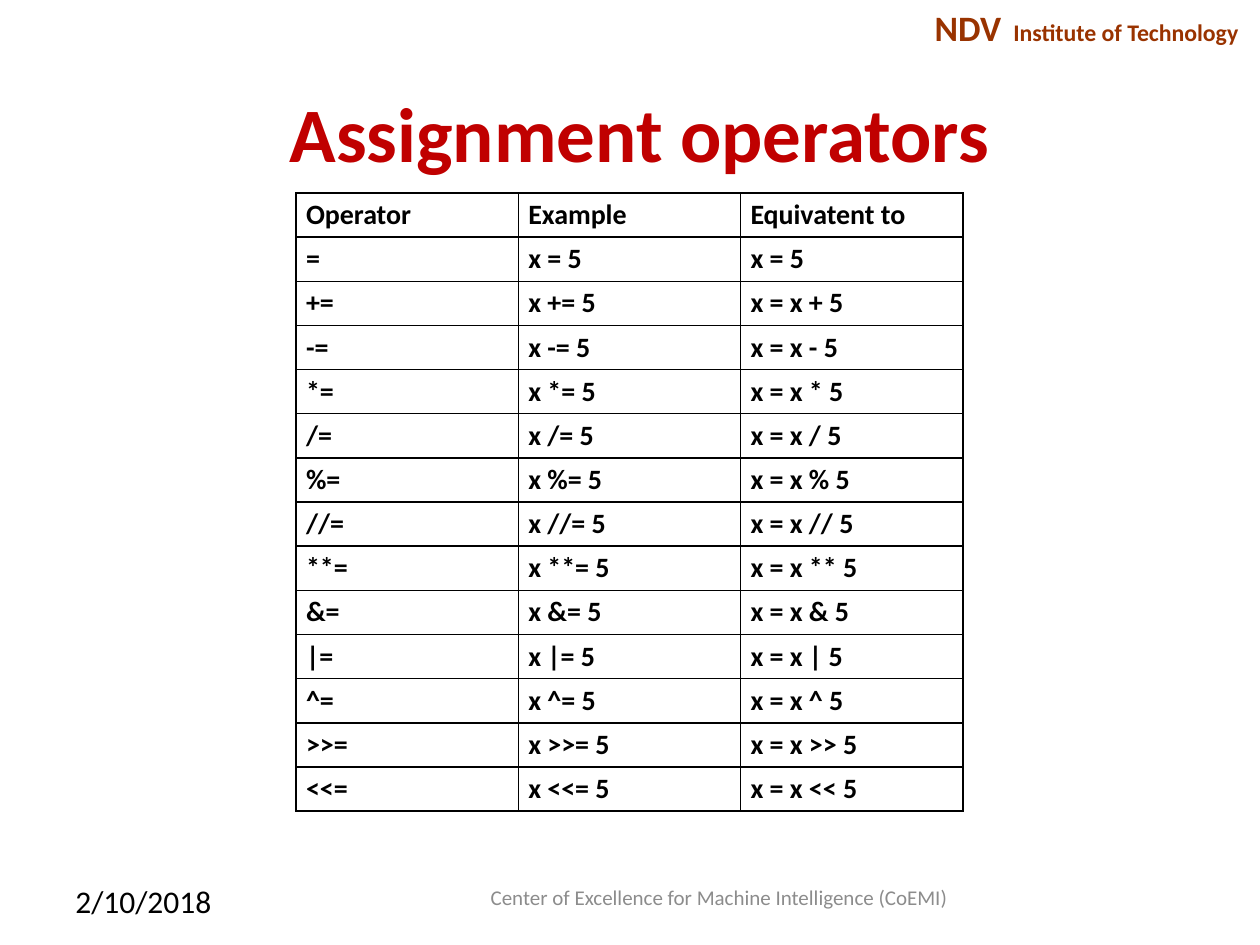
from lxml import etree
from pptx import Presentation
from pptx import util as u
from pptx.dml.color import RGBColor
from pptx.enum import text
from pptx.oxml import ns

BLACK = RGBColor(0x00, 0x00, 0x00)
RED = RGBColor(0xC0, 0x00, 0x00)
BROWN = RGBColor(0x99, 0x33, 0x00)
GREY = RGBColor(0x8C, 0x8C, 0x8C)
LEFT, CENTER = text.PP_ALIGN.LEFT, text.PP_ALIGN.CENTER
TOP, MIDDLE = text.MSO_ANCHOR.TOP, text.MSO_ANCHOR.MIDDLE


def add_span(para, words, size, color, bold):
    span = para.add_run()
    span.text = words
    span.font.color.rgb = color
    for name, value in {"name": "Calibri", "size": u.Pt(size), "bold": bold}.items():
        setattr(span.font, name, value)


def add_box(slide, place, spans, color, bold, align, frame_format):
    box = slide.shapes.add_textbox(*[u.Cm(value) for value in place])
    for name, value in frame_format.items():
        setattr(box.text_frame, name, value)
    para = box.text_frame.paragraphs[0]
    para.alignment = align
    for words, size in spans:
        add_span(para, words, size, color, bold)
    return para


deck = Presentation()
deck.slide_width, deck.slide_height = u.Cm(25.4), u.Cm(19.05)
page = deck.slides.add_slide(deck.slide_layouts[6])

institute = add_box(
    page, (18.59, 0, 6.81, 1.12),
    [("NDV", 20.4), (" ", 30.6), ("Institute of Technology", 13.6)],
    BROWN, True, LEFT, {"word_wrap": False, "margin_top": 0, "margin_bottom": 0})
institute.line_spacing = 0.8

wrapped_middle = {"word_wrap": True, "vertical_anchor": MIDDLE}
add_box(page, (1.47, 1.07, 22.86, 3.18), [("Assignment operators", 44)],
        RED, True, CENTER, wrapped_middle)

rows = [("Operator", "Example", "Equivatent to"), ("=", "x = 5", "x = 5")]
for symbol in ["+", "-", "*", "/", "%", "//", "**", "&", "|", "^", ">>", "<<"]:
    rows.append((f"{symbol}=", f"x {symbol}= 5", f"x = x {symbol} 5"))

column_width, row_height = 4.48, 0.89
table = page.shapes.add_table(
    len(rows), 3, u.Cm(5.97), u.Cm(3.89),
    u.Cm(3 * column_width), u.Cm(len(rows) * row_height)).table
for column in table.columns:
    column.width = u.Cm(column_width)
for row in table.rows:
    row.height = u.Cm(row_height)

cell_format = {
    "vertical_anchor": MIDDLE,
    "margin_left": u.Cm(0.2), "margin_right": u.Cm(0.2),
    "margin_top": u.Cm(0.1), "margin_bottom": u.Cm(0.1),
}
for row, entries in zip(table.rows, rows):
    for cell, words in zip(row.cells, entries):
        for name, value in cell_format.items():
            setattr(cell, name, value)
        add_span(cell.text_frame.paragraphs[0], words, 16, BLACK, True)
        properties = cell._tc.get_or_add_tcPr()
        for side in ("lnL", "lnR", "lnT", "lnB"):
            border = etree.SubElement(properties, ns.qn(f"a:{side}"), w=str(u.Pt(1)))
            fill = etree.SubElement(border, ns.qn("a:solidFill"))
            etree.SubElement(fill, ns.qn("a:srgbClr"), val=str(BLACK))
        cell.fill.background()

add_box(page, (1.27, 17.65, 5.92, 1.02), [("2/10/2018", 18)],
        BLACK, False, LEFT, {"word_wrap": True, "vertical_anchor": TOP})
add_box(page, (8.05, 17.58, 12.9, 1.02),
        [("Center of Excellence for Machine Intelligence (CoEMI)", 12)],
        GREY, False, CENTER, wrapped_middle)

deck.save("out.pptx")
